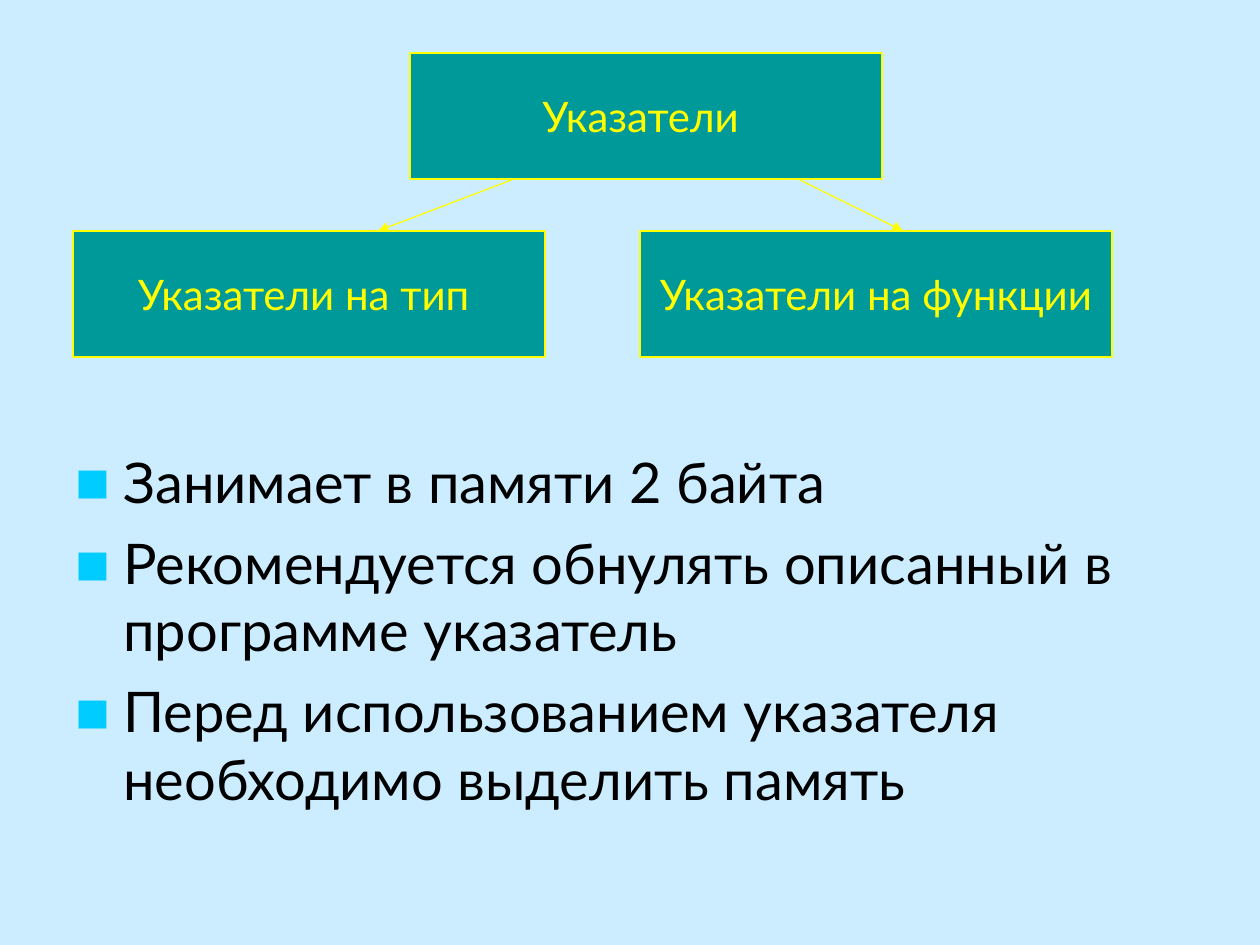
from dataclasses import dataclass

from lxml import etree
from pptx import Presentation
from pptx import util as u
from pptx.dml.color import RGBColor
from pptx.enum import shapes, text
from pptx.oxml.ns import qn

# Lengths are in px, 126 to the inch
SLIDE = (1260, 945)
BOX_SIZE = (472, 126)
BOXES = [
    ("Указатели ", 410, 53),
    ("Указатели на тип ", 73, 231),
    ("Указатели на функции", 640, 231),
]
ARROWS = [((514, 179), (378, 231)), ((798, 179), (903, 231))]
BODY = (63, 441, 1134, 399)
BULLET_INDENT = 48
BULLETS = [
    "Занимает в памяти 2 байта",
    "Рекомендуется обнулять описанный в программе указатель",
    "Перед использованием указателя необходимо выделить память",
]


@dataclass(frozen=True)
class Theme:
    font: str = "Lato"
    background: str = "CCECFF"
    box: str = "009999"
    accent: str = "FFFF00"
    ink: str = "000000"
    bullet: str = "00CCFF"
    box_size: int = 24
    body_size: int = 32
    space_before: int = 8
    line: float = 0.75


T = Theme()


def px(n):
    return u.Emu(round(n * u.Inches(1) / 126))


def rgb(value):
    return RGBColor.from_string(value)


def add_run(p, words, size, color):
    r = p.add_run()
    r.text = words
    r.font.name = T.font
    r.font.size = u.Pt(size)
    r.font.color.rgb = rgb(color)


def style_line(line):
    line.color.rgb = rgb(T.accent)
    line.width = u.Pt(T.line)


def add_box(s, words, left, top):
    sp = s.shapes.add_shape(shapes.MSO_SHAPE.RECTANGLE,
                            *map(px, (left, top, *BOX_SIZE)))
    sp.shadow.inherit = False
    sp.fill.solid()
    sp.fill.fore_color.rgb = rgb(T.box)
    style_line(sp.line)
    tf = sp.text_frame
    tf.word_wrap = False
    tf.vertical_anchor = text.MSO_ANCHOR.MIDDLE
    p = tf.paragraphs[0]
    p.alignment = text.PP_ALIGN.CENTER
    add_run(p, words, T.box_size, T.accent)


def add_arrow(s, start, end):
    c = s.shapes.add_connector(shapes.MSO_CONNECTOR.STRAIGHT,
                               *map(px, (*start, *end)))
    style_line(c.line)
    etree.SubElement(c.line._get_or_add_ln(), qn("a:tailEnd"), type="triangle")
    etree.SubElement(c._element.spPr, qn("a:effectLst"))


def add_bullet(p):
    pPr = p._p.get_or_add_pPr()
    pPr.set("marL", str(px(BULLET_INDENT)))
    pPr.set("indent", str(-px(BULLET_INDENT)))
    color = etree.SubElement(pPr, qn("a:buClr"))
    etree.SubElement(color, qn("a:srgbClr"), val=T.bullet)
    etree.SubElement(pPr, qn("a:buSzPct"), val="65000")
    etree.SubElement(pPr, qn("a:buFont"), typeface=T.font)
    etree.SubElement(pPr, qn("a:buChar"), char="■")


def add_body(s):
    tf = s.shapes.add_textbox(*map(px, BODY)).text_frame
    tf.word_wrap = True
    for i, words in enumerate(BULLETS):
        p = tf.add_paragraph() if i else tf.paragraphs[0]
        add_bullet(p)
        if i:
            p.space_before = u.Pt(T.space_before)
        add_run(p, words, T.body_size, T.ink)


def main():
    prs = Presentation()
    prs.slide_width, prs.slide_height = map(px, SLIDE)
    s = prs.slides.add_slide(prs.slide_layouts[6])
    s.background.fill.solid()
    s.background.fill.fore_color.rgb = rgb(T.background)
    add_body(s)
    for box in BOXES:
        add_box(s, *box)
    for arrow in ARROWS:
        add_arrow(s, *arrow)
    prs.save("out.pptx")


if __name__ == "__main__":
    main()
